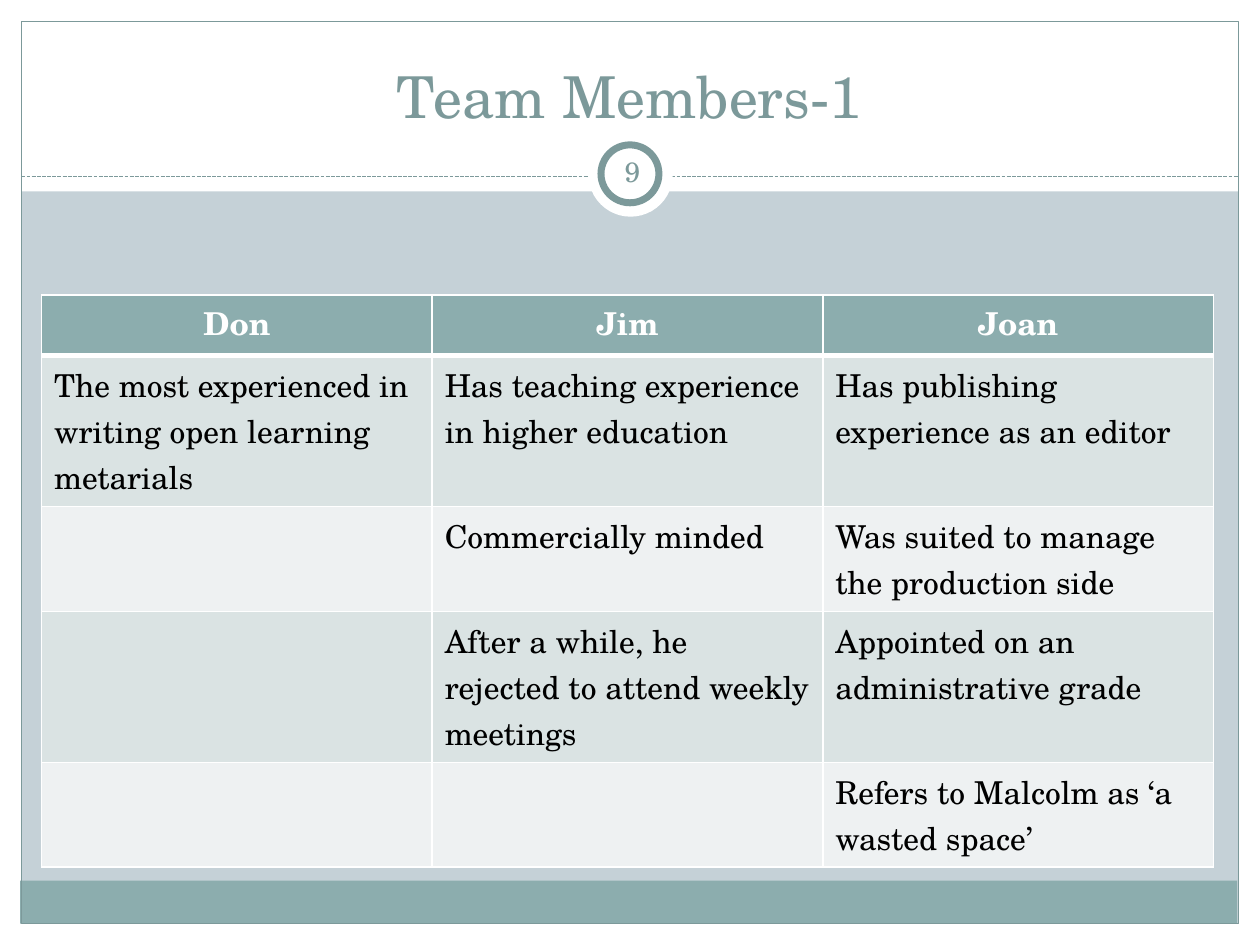
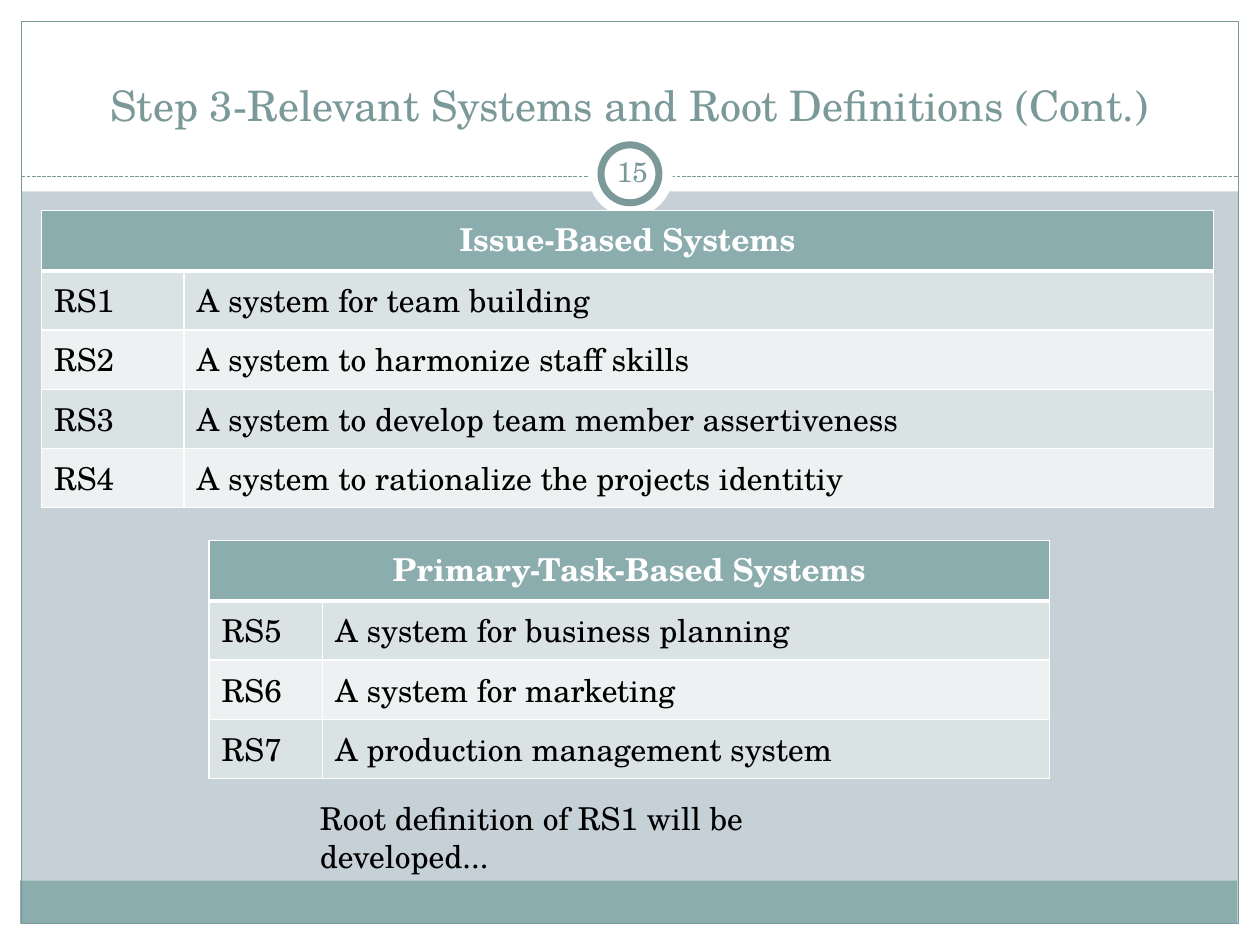
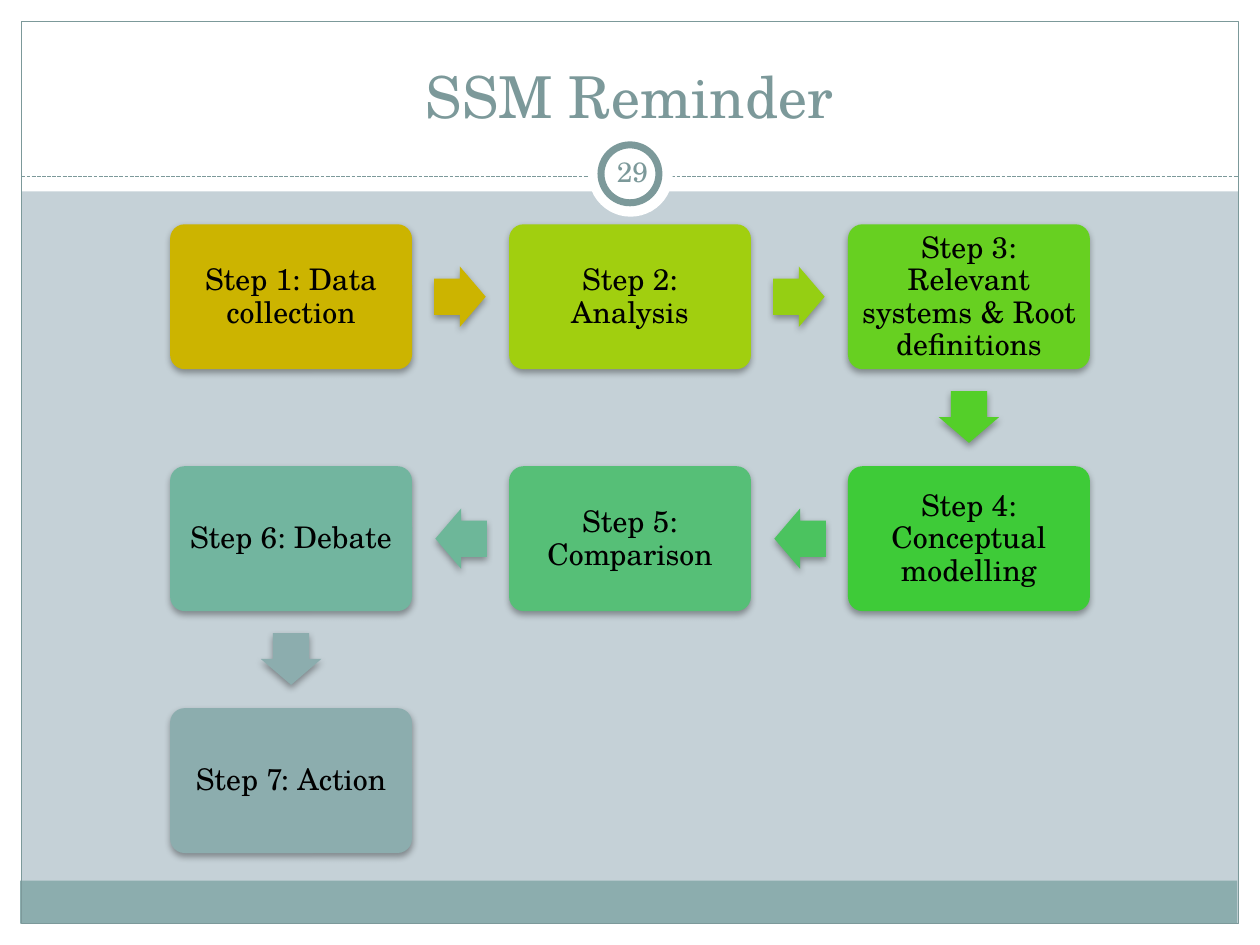
from lxml import etree
from pptx import Presentation
from pptx.dml.color import RGBColor
from pptx.enum import dml, shapes, text
from pptx.oxml import ns
from pptx.util import Inches, Pt

FONT = "TeX Gyre Schola"
COLORS = {
    "page": "C5D1D7", "white": "FFFFFF", "black": "000000",
    "accent": "8CADAE", "outline": "7C999A",
    "band_dark": "DAE3E3", "band_light": "EEF1F2",
    "step1": "CCB400", "step2": "A1CF0F", "step3": "67D021", "step4": "3ECB38",
    "step5": "56BF77", "step6": "72B59F", "step7": "8CADAE",
    "arrow1": "CCB400", "arrow2": "95CF13", "arrow3": "54CF29",
    "arrow4": "4BC35F", "arrow5": "6DB799", "arrow6": "8CADAE",
}
SHAPE = shapes.MSO_SHAPE
CENTER = text.PP_ALIGN.CENTER
MIDDLE = text.MSO_ANCHOR.MIDDLE
MARGINS = ("margin_left", "margin_top", "margin_right", "margin_bottom")

HEADER_HEIGHT = 0.48
ROW_HEIGHT = 0.47
MEMBERS = [
    ["Don", "Jim", "Joan"],
    ["The most experienced in writing open learning metarials",
     "Has teaching experience in higher education",
     "Has publishing experience as an editor"],
    ["", "Commercially minded", "Was suited to manage the production side"],
    ["", "After a while, he rejected to attend weekly meetings",
     "Appointed on an administrative grade"],
    ["", "", "Refers to Malcolm as ‘a wasted space’"],
]
ISSUE_SYSTEMS = [
    ["Issue-Based Systems", ""],
    ["RS1", "A system for team building"],
    ["RS2", "A system to harmonize staff skills"],
    ["RS3", "A system to develop team member assertiveness"],
    ["RS4", "A system to rationalize the projects identitiy"],
]
TASK_SYSTEMS = [
    ["Primary-Task-Based Systems", ""],
    ["RS5", "A system for business planning"],
    ["RS6", "A system for marketing"],
    ["RS7", "A production management system"],
]

STEP_WIDTH, STEP_HEIGHT = 1.92, 1.15
ARROW_WIDTH, ARROW_HEIGHT = 0.41, 0.48
ARROW_REACH = 0.38
STEPS = [
    ("Step 1: Data collection", 0, 0, 0),
    ("Step 2: Analysis", 1, 0, 0),
    ("Step 3: Relevant systems & Root definitions", 2, 0, 90),
    ("Step 4: Conceptual modelling", 2, 1, 180),
    ("Step 5: Comparison", 1, 1, 180),
    ("Step 6: Debate", 0, 1, 90),
    ("Step 7: Action", 0, 2, None),
]
DIRECTIONS = {0: (1, 0), 90: (0, 1), 180: (-1, 0)}


def color(name):
    return RGBColor.from_string(COLORS[name])


def apply(target, values):
    for name, value in values.items():
        setattr(target, name, value)


def inches(*lengths):
    return [Inches(length) for length in lengths]


def write(frame, words, size, ink, bold=False, align=None, spacing=None):
    para = frame.paragraphs[0]
    apply(para, {"alignment": align, "line_spacing": spacing})
    span = para.add_run()
    span.text = words
    apply(span.font, {"name": FONT, "size": Pt(size), "bold": bold})
    span.font.color.rgb = color(ink)


def add_figure(page, kind, place, fill=None, line=None, weight=0.75):
    figure = page.shapes.add_shape(kind, *inches(*place))
    figure.shadow.inherit = False
    if fill:
        figure.fill.solid()
        figure.fill.fore_color.rgb = color(fill)
    else:
        figure.fill.background()
    if line:
        figure.line.color.rgb = color(line)
        figure.line.width = Pt(weight)
    else:
        figure.line.fill.background()
    return figure


def add_text(page, place, words, size, ink, frame_values, **style):
    box = page.shapes.add_textbox(*inches(*place))
    apply(box.text_frame, {"word_wrap": True, **frame_values})
    write(box.text_frame, words, size, ink, **style)


def add_divider(page):
    line = page.shapes.add_connector(
        shapes.MSO_CONNECTOR.STRAIGHT, *inches(0.17, 1.4, 9.83, 1.4))
    line.line.color.rgb = color("outline")
    apply(line.line, {"width": Pt(0.75), "dash_style": dml.MSO_LINE.SQUARE_DOT})
    etree.SubElement(line._element.spPr, ns.qn("a:effectLst"))


def add_page(deck, title, number, title_size=33):
    page = deck.slides.add_slide(deck.slide_layouts[6])
    page.background.fill.solid()
    page.background.fill.fore_color.rgb = color("page")
    margins = [(0, 7.33, 10, 0.17), (0, 0, 10, 1.52),
               (0, 0, 0.17, 7.5), (9.83, 0, 0.17, 7.5)]
    for place in margins:
        add_figure(page, SHAPE.RECTANGLE, place, "white")
    add_figure(page, SHAPE.RECTANGLE, (0.16, 6.99, 9.66, 0.34), "accent")
    add_figure(page, SHAPE.RECTANGLE, (0.17, 0.17, 9.66, 7.16), line="outline")
    add_divider(page)
    add_figure(page, SHAPE.OVAL, (4.67, 1.05, 0.67, 0.67), "white")
    add_figure(page, SHAPE.OVAL, (4.77, 1.15, 0.46, 0.46), "white", "outline", 4)
    add_text(page, (0.33, 0.25, 9.33, 0.83), title, title_size, "outline",
             {"vertical_anchor": text.MSO_ANCHOR.BOTTOM}, align=CENTER)
    add_text(page, (4.77, 1.12, 0.5, 0.48), str(number), 16, "outline",
             {"vertical_anchor": MIDDLE, **dict.fromkeys(MARGINS, Inches(0.05))},
             align=CENTER)
    return page


def add_borders(cell, top, bottom):
    properties = cell._tc.get_or_add_tcPr()
    sides = {"lnL": 1, "lnR": 1, "lnT": top, "lnB": bottom}
    for index, (side, weight) in enumerate(sides.items()):
        line = etree.Element(ns.qn(f"a:{side}"), w=str(Pt(weight)))
        fill = etree.SubElement(line, ns.qn("a:solidFill"))
        etree.SubElement(fill, ns.qn("a:srgbClr"), val=COLORS["white"])
        properties.insert(index, line)


def add_grid(page, left, top, widths, heights, rows):
    place = inches(left, top, sum(widths), sum(heights))
    table = page.shapes.add_table(len(rows), len(widths), *place).table
    for column, width in zip(table.columns, widths):
        column.width = Inches(width)
    for row, height in zip(table.rows, heights):
        row.height = Inches(height)
    for r, row in enumerate(rows):
        header = r == 0
        band = "accent" if header else "band_dark" if r % 2 else "band_light"
        for c, words in enumerate(row):
            cell = table.cell(r, c)
            cell.fill.solid()
            cell.fill.fore_color.rgb = color(band)
            add_borders(cell, 3 if r == 1 else 1, 3 if header else 1)
            if words:
                write(cell.text_frame, words, 18, "white" if header else "black",
                      bold=header, align=CENTER if header else None,
                      spacing=Pt(26.3))
    return table


def add_systems(page, left, top, widths, rows):
    heights = [HEADER_HEIGHT] + [ROW_HEIGHT] * (len(rows) - 1)
    table = add_grid(page, left, top, widths, heights, rows)
    table.cell(0, 0).merge(table.cell(0, 1))


def add_shadow(figure):
    effects = figure._element.spPr.find(ns.qn("a:effectLst"))
    shadow = etree.SubElement(
        effects, ns.qn("a:outerShdw"), blurRad=str(Pt(4)), dist=str(Pt(2)),
        dir="5400000", rotWithShape="0")
    tint = etree.SubElement(shadow, ns.qn("a:srgbClr"), val=COLORS["black"])
    etree.SubElement(tint, ns.qn("a:alpha"), val="35000")


def add_step(page, words, left, top, fill):
    step = add_figure(page, SHAPE.ROUNDED_RECTANGLE,
                      (left, top, STEP_WIDTH, STEP_HEIGHT), fill)
    step.adjustments[0] = 0.1
    add_shadow(step)
    apply(step.text_frame, {"word_wrap": True, "vertical_anchor": MIDDLE,
                            **dict.fromkeys(MARGINS, Inches(0.06))})
    write(step.text_frame, words, 17, "black", align=CENTER, spacing=Pt(18.6))


def add_arrow(page, left, top, turn, fill):
    across, down = DIRECTIONS[turn]
    center_x = left + STEP_WIDTH / 2 + across * (STEP_WIDTH / 2 + ARROW_REACH)
    center_y = top + STEP_HEIGHT / 2 + down * (STEP_HEIGHT / 2 + ARROW_REACH)
    arrow = add_figure(
        page, SHAPE.RIGHT_ARROW,
        (center_x - ARROW_WIDTH / 2, center_y - ARROW_HEIGHT / 2,
         ARROW_WIDTH, ARROW_HEIGHT), fill)
    arrow.adjustments[0] = 0.6
    arrow.adjustments[1] = 0.5
    arrow.rotation = turn
    add_shadow(arrow)


def add_process(page):
    for number, (words, column, row, turn) in enumerate(STEPS, 1):
        left, top = 1.35 + 2.69 * column, 1.78 + 1.92 * row
        add_step(page, words, left, top, f"step{number}")
        if turn is not None:
            add_arrow(page, left, top, turn, f"arrow{number}")


def main():
    deck = Presentation()
    apply(deck, {"slide_width": Inches(10), "slide_height": Inches(7.5)})

    members = add_page(deck, "Team Members-1", 9)
    add_grid(members, 0.33, 2.34, [3.1] * 3,
             [HEADER_HEIGHT, 1.2, 0.83, 1.2, 0.83], MEMBERS)

    systems = add_page(
        deck, "Step 3-Relevant Systems and Root Definitions (Cont.)", 15, 24)
    add_systems(systems, 0.33, 1.67, [1.13, 8.17], ISSUE_SYSTEMS)
    add_systems(systems, 1.66, 4.29, [0.9, 5.77], TASK_SYSTEMS)
    add_text(systems, (2.44, 6.29, 4.6, 0.7),
             "Root definition of RS1 will be developed...", 18, "black", {},
             spacing=Pt(21.8))

    add_process(add_page(deck, "SSM Reminder", 29))
    deck.save("out.pptx")


if __name__ == "__main__":
    main()
